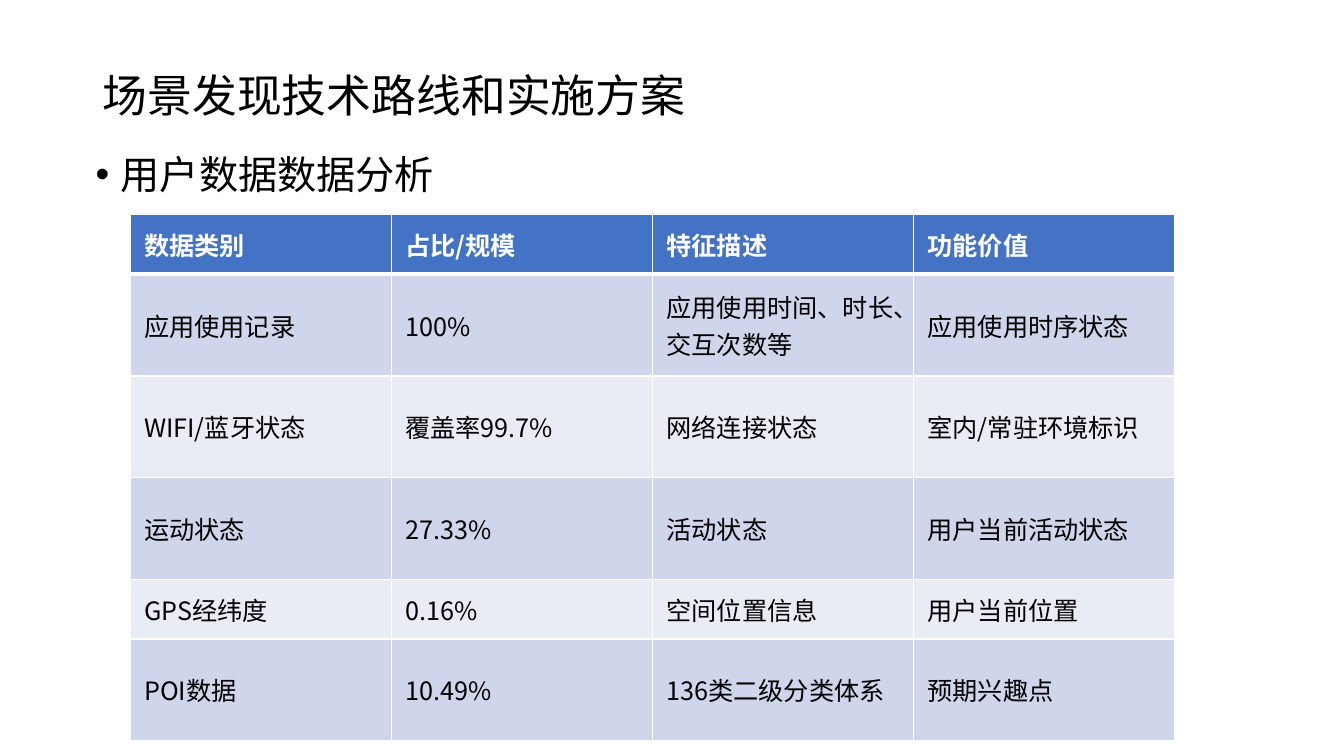
from dataclasses import dataclass

from lxml.etree import SubElement
from pptx import Presentation
from pptx.dml.color import RGBColor
from pptx.enum.text import MSO_ANCHOR
from pptx.oxml.ns import qn
from pptx.slide import Slide
from pptx.table import _Cell
from pptx.text.text import _Paragraph
from pptx.util import Inches, Pt

FONT = "Noto Sans CJK SC"
BLACK = RGBColor(0x00, 0x00, 0x00)
WHITE = RGBColor(0xFF, 0xFF, 0xFF)
HEADER_BLUE = RGBColor(0x44, 0x72, 0xC4)
DARK_BAND = RGBColor(0xCF, 0xD5, 0xEA)
LIGHT_BAND = RGBColor(0xE9, 0xEB, 0xF5)

TABLE_LEFT, TABLE_TOP, COLUMN_WIDTH = 1.29, 2.13, 2.59
THIN_BORDER, HEADER_BORDER = 1, 3


@dataclass(frozen=True)
class Heading:
    text: str
    left: float
    top: float
    height: float
    size: int
    anchor: MSO_ANCHOR
    bullet: bool = False


@dataclass(frozen=True)
class TableRow:
    height: float
    texts: tuple[str, ...]


HEADINGS = (
    Heading("场景发现技术路线和实施方案", 0.92, 0.25, 1.45, 32, MSO_ANCHOR.MIDDLE),
    Heading("用户数据数据分析", 0.85, 1.49, 4.76, 28, MSO_ANCHOR.TOP, bullet=True),
)

ROWS = (
    TableRow(0.59, ("数据类别", "占比/规模", "特征描述", "功能价值")),
    TableRow(1.01, ("应用使用记录", "100%", "应用使用时间、时长、交互次数等", "应用使用时序状态")),
    TableRow(1.01, ("WIFI/蓝牙状态", "覆盖率99.7%", "网络连接状态", "室内/常驻环境标识")),
    TableRow(1.01, ("运动状态", "27.33%", "活动状态", "用户当前活动状态")),
    TableRow(0.59, ("GPS经纬度", "0.16%", "空间位置信息", "用户当前位置")),
    TableRow(1.01, ("POI数据", "10.49%", "136类二级分类体系", "预期兴趣点")),
)


def add_span(para: _Paragraph, text: str, size: int, color: RGBColor, bold: bool = False) -> None:
    span = para.add_run()
    span.text = text
    span.font.size = Pt(size)
    span.font.bold = bold
    span.font.color.rgb = color
    span.font.name = FONT
    SubElement(span.font._element, qn("a:ea"), typeface=FONT)


def add_bullet(para: _Paragraph) -> None:
    properties = para._p.get_or_add_pPr()
    properties.set("marL", str(Inches(0.25)))
    properties.set("indent", str(Inches(-0.25)))
    SubElement(properties, qn("a:buFont"), typeface="Arial")
    SubElement(properties, qn("a:buChar"), char="•")


def add_heading(page: Slide, heading: Heading) -> None:
    box = page.shapes.add_textbox(
        Inches(heading.left), Inches(heading.top), Inches(11.5), Inches(heading.height)
    )
    frame = box.text_frame
    frame.word_wrap = True
    frame.vertical_anchor = heading.anchor
    para = frame.paragraphs[0]
    if heading.bullet:
        add_bullet(para)
    para.line_spacing = 0.9
    add_span(para, heading.text, heading.size, BLACK)


def set_borders(cell: _Cell, top: int, bottom: int) -> None:
    properties = cell._tc.get_or_add_tcPr()
    widths = {"lnL": THIN_BORDER, "lnR": THIN_BORDER, "lnT": top, "lnB": bottom}
    for side, width in widths.items():
        line = SubElement(properties, qn(f"a:{side}"), w=str(Pt(width)))
        fill = SubElement(line, qn("a:solidFill"))
        SubElement(fill, qn("a:srgbClr"), val=str(WHITE))


def fill_cell(cell: _Cell, text: str, row_index: int) -> None:
    is_header = row_index == 0
    set_borders(
        cell,
        top=HEADER_BORDER if row_index == 1 else THIN_BORDER,
        bottom=HEADER_BORDER if is_header else THIN_BORDER,
    )
    band = DARK_BAND if row_index % 2 else LIGHT_BAND
    cell.fill.solid()
    cell.fill.fore_color.rgb = HEADER_BLUE if is_header else band
    cell.vertical_anchor = MSO_ANCHOR.MIDDLE
    cell.margin_left = cell.margin_right = Inches(0.14)
    cell.margin_top = cell.margin_bottom = Inches(0.06)
    para = cell.text_frame.paragraphs[0]
    add_span(para, text, 18, WHITE if is_header else BLACK, bold=is_header)


def add_data_table(page: Slide, rows: tuple[TableRow, ...]) -> None:
    column_count = len(rows[0].texts)
    table = page.shapes.add_table(
        len(rows),
        column_count,
        Inches(TABLE_LEFT),
        Inches(TABLE_TOP),
        Inches(COLUMN_WIDTH * column_count),
        Inches(sum(row.height for row in rows)),
    ).table
    for column in table.columns:
        column.width = Inches(COLUMN_WIDTH)
    for row_index, row in enumerate(rows):
        table.rows[row_index].height = Inches(row.height)
        for column_index, text in enumerate(row.texts):
            fill_cell(table.cell(row_index, column_index), text, row_index)


def main() -> None:
    deck = Presentation()
    deck.slide_width = Inches(13.33)
    deck.slide_height = Inches(7.5)
    page = deck.slides.add_slide(deck.slide_layouts[6])
    for heading in HEADINGS:
        add_heading(page, heading)
    add_data_table(page, ROWS)
    deck.save("out.pptx")


if __name__ == "__main__":
    main()
